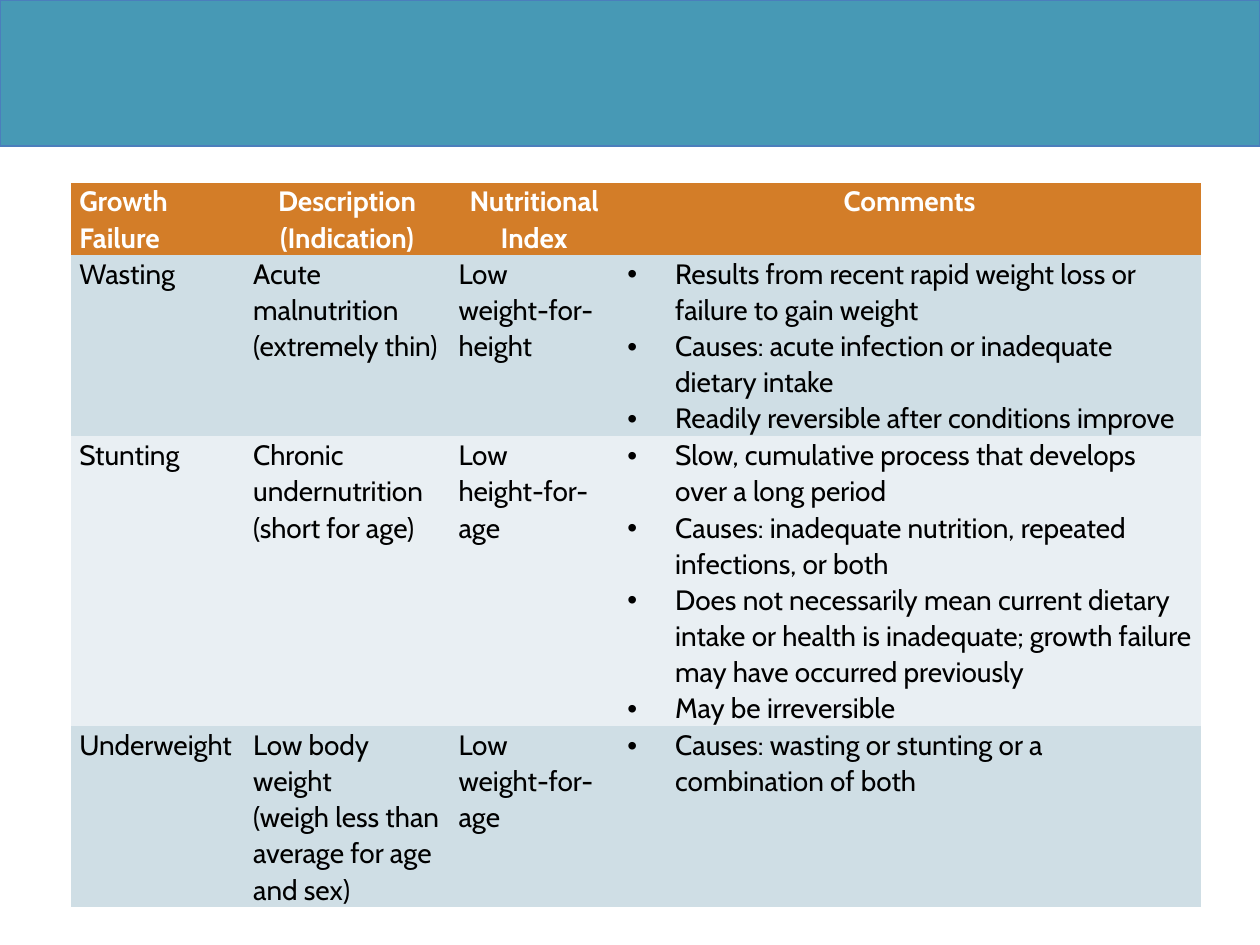
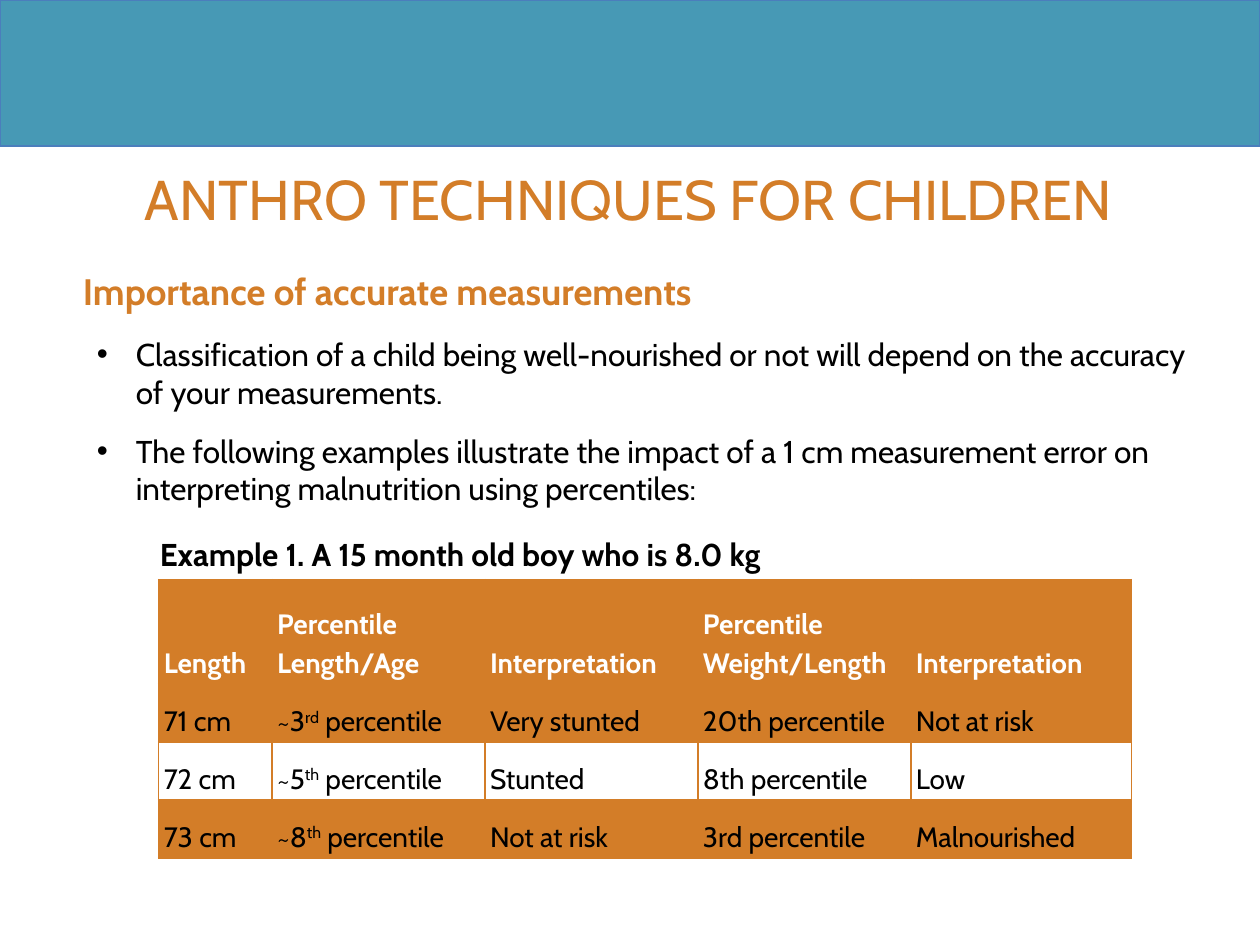
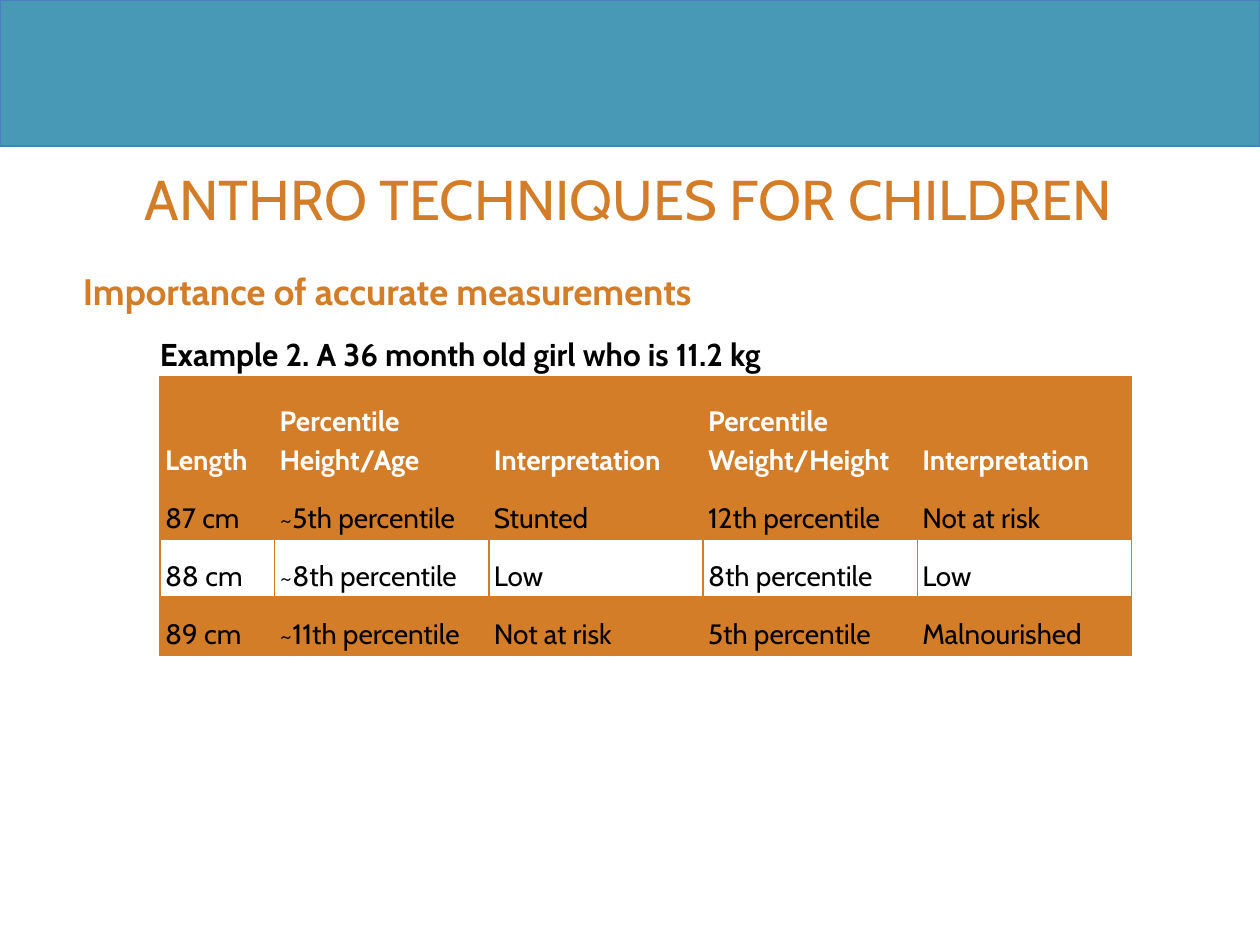
from lxml import etree
from pptx import Presentation
from pptx import util as u
from pptx.dml import color
from pptx.enum import shapes, text
from pptx.oxml import ns

FONT = "Cabin"
TEAL, BAND_EDGE = "4799B5", "4B7EBC"
ORANGE, WHITE, BLACK = "D37D28", "FFFFFF", "000000"
BLUE_BANDS = ("CFDEE5", "E9EFF3")
PLAIN_TABLE_STYLE = "{2D5ABB26-0587-4C30-8999-92F81FD0307C}"

TITLE = "ANTHRO TECHNIQUES FOR CHILDREN"
HEADING = "Importance of accurate measurements"
BULLETS = (
    "Classification of a child being well-nourished or not will depend on the accuracy of your measurements.",
    "The following examples illustrate the impact of a 1 cm measurement error on "
    "interpreting malnutrition using percentiles:",
)
GROWTH_FAILURES = (
    ("Growth Failure", "Description (Indication)", "Nutritional Index", "Comments"),
    ("Wasting", "Acute malnutrition\n(extremely thin)", "Low\nweight-for-height",
     "Results from recent rapid weight loss or failure to gain weight\n"
     "Causes: acute infection or inadequate dietary intake\n"
     "Readily reversible after conditions improve"),
    ("Stunting", "Chronic undernutrition\n(short for age)", "Low\nheight-for-age",
     "Slow, cumulative process that develops over a long period\n"
     "Causes: inadequate nutrition, repeated infections, or both\n"
     "Does not necessarily mean current dietary intake or health is inadequate; "
     "growth failure may have occurred previously\n"
     "May be irreversible"),
    ("Underweight", "Low body weight\n(weigh less than average for age and sex)",
     "Low\nweight-for-age", "Causes: wasting or stunting or a combination of both"),
)
BOY_ROWS = (
    ("Length", "Percentile\nLength/Age", "Interpretation", "Percentile\nWeight/Length", "Interpretation"),
    ("71 cm", "~3^rd^ percentile", "Very stunted", "20th percentile", "Not at risk"),
    ("72 cm", "~5^th^ percentile", "Stunted", "8th percentile", "Low"),
    ("73 cm", "~8^th^ percentile", "Not at risk", "3rd percentile", "Malnourished"),
)
GIRL_ROWS = (
    ("Length", "Percentile\nHeight/Age", "Interpretation", "Percentile\nWeight/Height", "Interpretation"),
    ("87 cm", "~5th percentile", "Stunted", "12th percentile", "Not at risk"),
    ("88 cm", "~8th percentile", "Low", "8th percentile", "Low"),
    ("89 cm", "~11th percentile", "Not at risk", "5th percentile", "Malnourished"),
)


def rgb(hex_code):
    return color.RGBColor.from_string(hex_code)


def format_runs(paragraph, size, hex_code, bold=False):
    for run in paragraph.runs:
        run.font.name = FONT
        run.font.size = u.Pt(size)
        run.font.bold = bold
        run.font.color.rgb = rgb(hex_code)


def indent(paragraph, left, first_line=0):
    properties = paragraph._p.get_or_add_pPr()
    properties.set("marL", str(u.Inches(left)))
    properties.set("indent", str(u.Inches(first_line)))
    return properties


def add_bullet(paragraph, width):
    properties = indent(paragraph, width, -width)
    etree.SubElement(properties, ns.qn("a:buFont"), typeface="Arial")
    etree.SubElement(properties, ns.qn("a:buChar"), char="•")


def raise_marked_text(paragraph):
    pieces = paragraph.text.split("^")
    if len(pieces) == 1:
        return
    paragraph.text = pieces[0]
    for position, piece in enumerate(pieces[1:], 1):
        run = paragraph.add_run()
        run.text = piece
        if position % 2:
            run._r.get_or_add_rPr().set("baseline", "30000")


def add_banded_slide(presentation):
    slide = presentation.slides.add_slide(presentation.slide_layouts[6])
    band = slide.shapes.add_shape(
        shapes.MSO_SHAPE.RECTANGLE, 0, 0, presentation.slide_width, u.Inches(1.16))
    band.shadow.inherit = False
    band.fill.solid()
    band.fill.fore_color.rgb = rgb(TEAL)
    band.line.color.rgb = rgb(BAND_EDGE)
    band.line.width = u.Pt(0.75)
    return slide


def add_text(slide, content, left, top, width, height, size, hex_code, bold=False):
    box = slide.shapes.add_textbox(*map(u.Inches, (left, top, width, height)))
    frame = box.text_frame
    frame.word_wrap = True
    frame.text = content
    for paragraph in frame.paragraphs:
        format_runs(paragraph, size, hex_code, bold)
    return frame


def add_headings(slide):
    title = add_text(slide, TITLE, 0.49, 1.26, 9, 0.65, 32, ORANGE)
    title.margin_bottom = 0
    title.paragraphs[0].alignment = text.PP_ALIGN.CENTER
    add_text(slide, HEADING, 0.56, 2.08, 8.92, 0.49, 21, ORANGE, True)


def add_body(slide, bullets, example, height):
    frame = add_text(slide, "\n".join((*bullets, example)), 0.67, 2.61, 8.86, height, 18, BLACK)
    *bullet_paragraphs, caption = frame.paragraphs
    for paragraph in bullet_paragraphs:
        paragraph.space_after = u.Pt(12)
        add_bullet(paragraph, 0.31)
    indent(caption, 0.5)
    format_runs(caption, 18, BLACK, True)
    if bullets:
        caption.space_before = u.Pt(3.6)


def add_plain_table(slide, rows, left, top, widths, heights):
    frame = slide.shapes.add_table(
        len(rows), len(widths), *map(u.Inches, (left, top, sum(widths), sum(heights))))
    table = frame.table
    table._tbl.tblPr.find(ns.qn("a:tableStyleId")).text = PLAIN_TABLE_STYLE
    for column, width in zip(table.columns, widths):
        column.width = u.Inches(width)
    for row, height in zip(table.rows, heights):
        row.height = u.Inches(height)
    return table


def fill_cell(cell, content, line_spacing, margins, is_header):
    cell.margin_left = cell.margin_right = u.Inches(margins[0])
    cell.margin_top = cell.margin_bottom = u.Inches(margins[1])
    cell.text_frame.text = content
    for paragraph in cell.text_frame.paragraphs:
        paragraph.line_spacing = line_spacing
        raise_marked_text(paragraph)
        format_runs(paragraph, 16, WHITE if is_header else BLACK, is_header)


def color_cell(cell, hex_code, opacity=100):
    cell.fill.solid()
    cell.fill.fore_color.rgb = rgb(hex_code)
    if opacity < 100:
        shade = cell._tc.tcPr.find(".//" + ns.qn("a:srgbClr"))
        etree.SubElement(shade, ns.qn("a:alpha"), val=str(opacity * 1000))


def add_border(cell, side, hex_code, points):
    properties = cell._tc.get_or_add_tcPr()
    line = etree.SubElement(properties, ns.qn(f"a:ln{side}"), w=str(u.Pt(points)))
    fill = etree.SubElement(line, ns.qn("a:solidFill"))
    etree.SubElement(fill, ns.qn("a:srgbClr"), val=hex_code)


def add_growth_table(slide):
    table = add_plain_table(slide, GROWTH_FAILURES, 0.56, 1.45,
                            (1.38, 1.63, 1.34, 4.62), (0.53, 1.44, 2.3, 1.13))
    for row, contents in enumerate(GROWTH_FAILURES):
        for column, content in enumerate(contents):
            cell = table.cell(row, column)
            fill_cell(cell, content, 1.07, (0.07, 0), row == 0)
            color_cell(cell, BLUE_BANDS[(row - 1) % 2] if row else ORANGE)
            for paragraph in cell.text_frame.paragraphs:
                if row == 0 and column > 0:
                    paragraph.alignment = text.PP_ALIGN.CENTER
                elif row > 0 and column == 3:
                    add_bullet(paragraph, 0.38)


def add_percentile_table(slide, rows, left, top, widths):
    table = add_plain_table(slide, rows, left, top, widths, (0.83, 0.46, 0.46, 0.46))
    for row, contents in enumerate(rows):
        for column, content in enumerate(contents):
            cell = table.cell(row, column)
            fill_cell(cell, content, 1.15, (0.04, 0.03), row == 0)
            cell.vertical_anchor = text.MSO_ANCHOR.BOTTOM
            for side in "LRTB":
                is_header_edge = (row, side) in ((0, "B"), (1, "T"))
                add_border(cell, side, ORANGE, 2 if is_header_edge else 1)
            if row == 0:
                color_cell(cell, ORANGE)
            elif row % 2:
                color_cell(cell, ORANGE, 20)
            else:
                cell.fill.background()


def main():
    presentation = Presentation()
    presentation.slide_width = u.Inches(10)
    presentation.slide_height = u.Inches(7.5)

    add_growth_table(add_banded_slide(presentation))

    boy_slide = add_banded_slide(presentation)
    add_headings(boy_slide)
    add_body(boy_slide, BULLETS, "Example 1. A 15 month old boy who is 8.0 kg", 4.49)
    add_percentile_table(boy_slide, BOY_ROWS, 1.26, 4.6, (0.9, 1.69, 1.69, 1.69, 1.75))

    girl_slide = add_banded_slide(presentation)
    add_headings(girl_slide)
    add_body(girl_slide, (), "Example 2. A 36 month old girl who is 11.2 kg", 3.6)
    add_percentile_table(girl_slide, GIRL_ROWS, 1.27, 2.99, (0.91, 1.7, 1.7, 1.7, 1.7))

    presentation.save("out.pptx")


if __name__ == "__main__":
    main()
